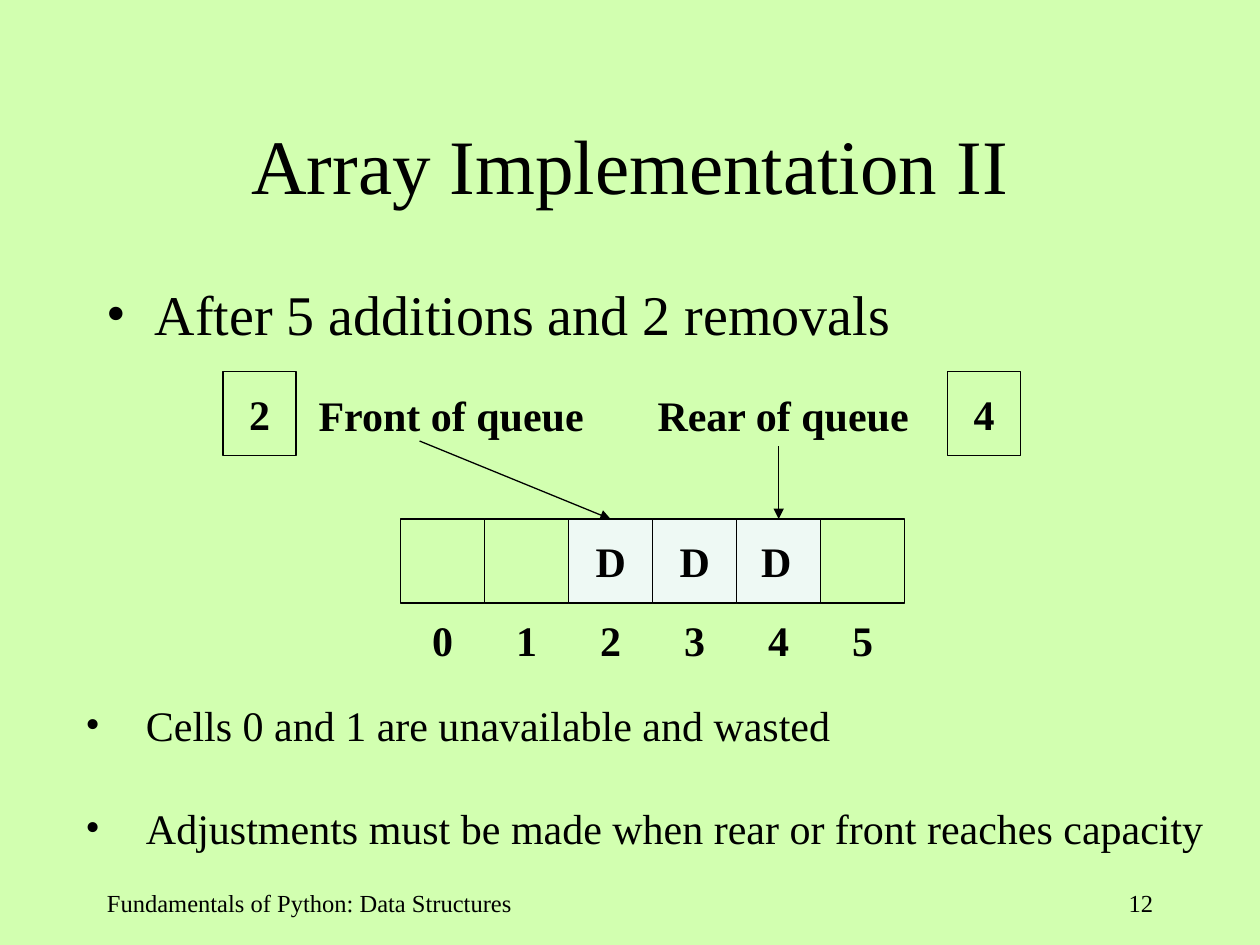
import pptx
import pptx.dml.color
import pptx.enum.shapes
import pptx.enum.text
import pptx.oxml
import pptx.oxml.ns
import pptx.util

Inches = pptx.util.Inches
Pt = pptx.util.Pt
ALIGN = pptx.enum.text.PP_ALIGN
ANCHOR = pptx.enum.text.MSO_ANCHOR


def color(value):
    """Turn a hex string into a colour."""
    return pptx.dml.color.RGBColor.from_string(value)


def element(tag, **attributes):
    """Make a drawing element with attributes."""
    node = pptx.oxml.parse_xml(f"<a:{tag} {pptx.oxml.ns.nsdecls('a')}/>")
    for key, value in attributes.items():
        node.set(key, str(value))
    return node


def write(frame, text, size=24, bold=False, align=ALIGN.LEFT, anchor=ANCHOR.TOP,
          wrap=True, indent=None, before=0, font="Times New Roman", ink="000000"):
    """Write each line of text as a formatted paragraph."""
    frame.word_wrap = wrap
    frame.vertical_anchor = anchor
    for number, line in enumerate(text.split("\n")):
        paragraph = frame.paragraphs[0] if number == 0 else frame.add_paragraph()
        paragraph.alignment = align
        paragraph.space_before = Pt(before if number else 0)
        run = paragraph.add_run()
        run.text = line
        run.font.size = Pt(size)
        run.font.bold = bold
        run.font.name = font
        run.font.color.rgb = color(ink)
        if indent:
            properties = paragraph._p.get_or_add_pPr()
            properties.set("marL", str(Inches(indent)))
            properties.set("indent", str(-Inches(indent)))
            properties.append(element("buFont", typeface=font))
            properties.append(element("buChar", char="•"))


class QueueSlide:
    """Draw the parts of a queue diagram in one style."""

    def __init__(self, slide, background="D2FFB0", ink="000000", weight=0.74):
        """Keep the slide and its style."""
        self.shapes = slide.shapes
        self.ink = ink
        self.weight = weight
        slide.background.fill.solid()
        slide.background.fill.fore_color.rgb = color(background)

    def outline(self, line):
        """Apply the common line style."""
        line.color.rgb = color(self.ink)
        line.width = Pt(self.weight)

    def text(self, left, top, width, height, words, **style):
        """Add a text box."""
        label = self.shapes.add_textbox(*map(Inches, (left, top, width, height)))
        write(label.text_frame, words, **style)

    def box(self, left, top, width, height, words="", fill=None):
        """Add an outlined rectangle with optional text and fill."""
        cell = self.shapes.add_shape(pptx.enum.shapes.MSO_SHAPE.RECTANGLE,
                                     *map(Inches, (left, top, width, height)))
        cell.shadow.inherit = False
        if fill:
            cell.fill.solid()
            cell.fill.fore_color.rgb = color(fill)
        else:
            cell.fill.background()
        self.outline(cell.line)
        if words:
            write(cell.text_frame, words, bold=True, align=ALIGN.CENTER,
                  anchor=ANCHOR.MIDDLE, wrap=False)

    def arrow(self, *ends):
        """Add a straight arrow between two points."""
        pointer = self.shapes.add_connector(
            pptx.enum.shapes.MSO_CONNECTOR.STRAIGHT, *map(Inches, ends))
        self.outline(pointer.line)
        pointer.line._get_or_add_ln().append(element("tailEnd", type="triangle"))
        pointer._element.spPr.append(element("effectLst"))


deck = pptx.Presentation()
deck.slide_width, deck.slide_height = Inches(10), Inches(7.5)
queue = QueueSlide(deck.slides.add_slide(deck.slide_layouts[6]))

queue.text(0.75, 0.67, 8.5, 1.25, "Array Implementation II", size=44,
           align=ALIGN.CENTER, anchor=ANCHOR.MIDDLE)
queue.text(0.75, 2.17, 8.5, 0.7, "After 5 additions and 2 removals", size=32,
           indent=0.38)

CELL = 2 / 3
ARRAY_LEFT, ARRAY_TOP = 3.18, 4.12
FRONT, REAR = 2, 4
for index in range(6):
    left = ARRAY_LEFT + index * CELL
    occupied = FRONT <= index <= REAR
    queue.box(left, ARRAY_TOP, CELL, CELL, "D" if FRONT <= index < REAR else "",
              fill="EEF9F4" if occupied else None)
    queue.text(left, 4.83, CELL, 0.5, str(index), bold=True, align=ALIGN.CENTER)
queue.text(5.94, 4.2, 0.44, 0.5, "D", bold=True, align=ALIGN.RIGHT, wrap=False)

for words, label_left, box_left, position, start in (
        ("Front of queue", 2.43, 1.77, FRONT, (3.33, 3.5)),
        ("Rear of queue", 5.12, 7.52, REAR, (6.18, 3.54))):
    queue.text(label_left, 3.04, 2.35, 0.5, words, bold=True)
    queue.box(box_left, 2.95, 0.58, CELL, str(position))
    queue.arrow(*start, ARRAY_LEFT + (position + 0.5) * CELL, ARRAY_TOP)

queue.text(0.58, 5.5, 9.29, 1.3,
           "Cells 0 and 1 are unavailable and wasted\n"
           "Adjustments must be made when rear or front reaches capacity",
           indent=0.48, before=30)
queue.text(0.75, 7, 3.92, 0.5, "Fundamentals of Python: Data Structures", size=14)
queue.text(7.17, 7, 2.08, 0.5, "12", size=14, align=ALIGN.RIGHT)

deck.save("out.pptx")
